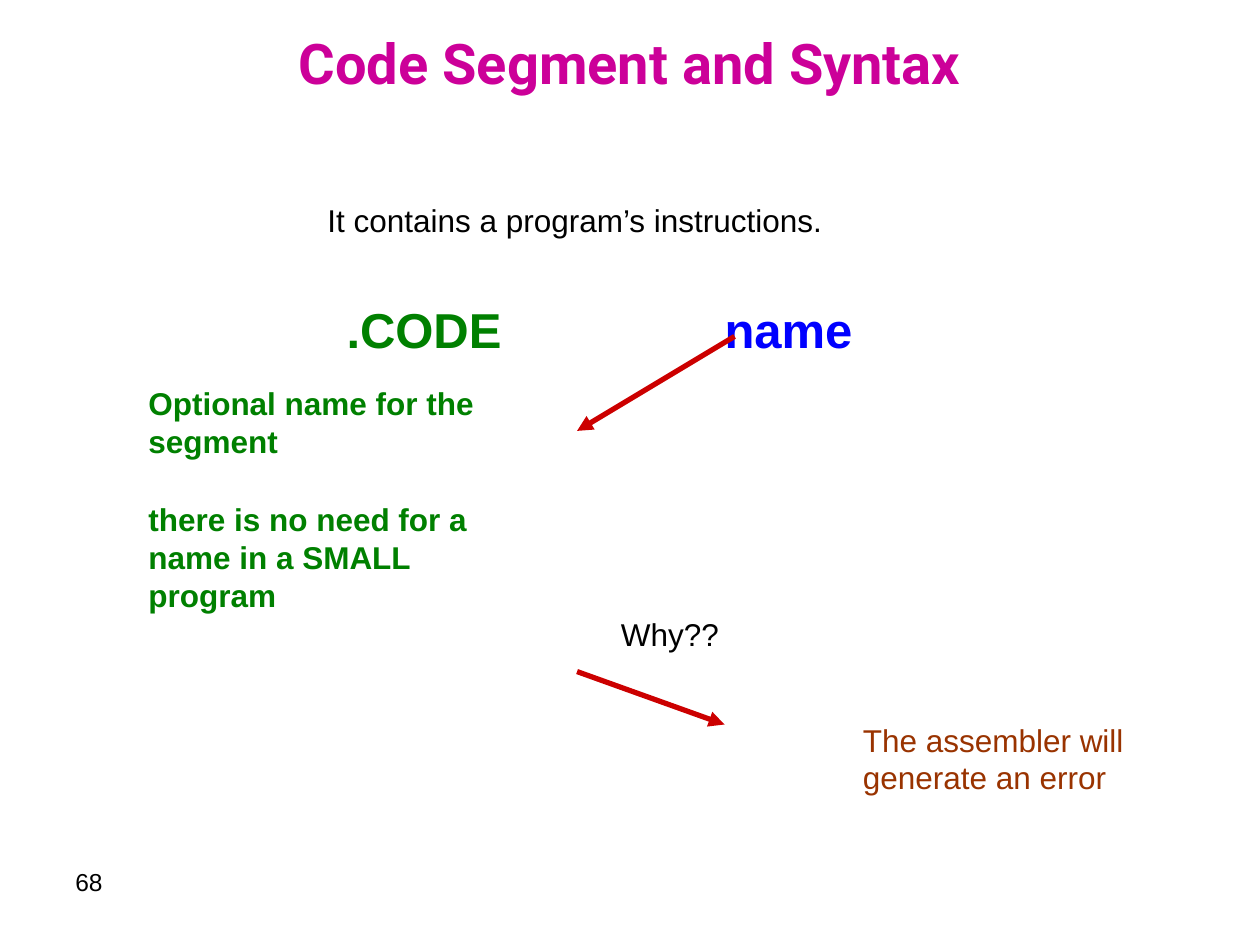
from dataclasses import dataclass

import pptx
import pptx.dml.color
import pptx.enum.shapes
import pptx.enum.text
import pptx.oxml.ns
import pptx.util
from lxml import etree

PX = 9144
HUES = {
    "pink": "CC0099",
    "blue": "0000FF",
    "green": "008000",
    "red": "CC0000",
    "brown": "993300",
    "black": "000000",
}
NONE = pptx.enum.text.MSO_AUTO_SIZE.NONE
ALIGN = pptx.enum.text.PP_ALIGN


@dataclass
class Note:
    text: str
    box: tuple[int, int, int, int]
    hue: str = "black"
    bold: bool = False
    size: int = 18


@dataclass
class Arrow:
    start: tuple[int, int]
    end: tuple[int, int]


NOTES = [
    Note("68", (50, 683, 233, 52), size=14),
    Note("Optional name for the segment", (108, 300, 333, 70), "green", True),
    Note("Why??", (483, 483, 117, 40)),
    Note("there is no need for a name in a SMALL program",
         (108, 392, 300, 100), "green", True),
    Note("The assembler will generate an error", (675, 567, 267, 70), "brown"),
    Note("It contains a program’s instructions.", (250, 155, 500, 40)),
]
ARROWS = [Arrow((583, 267), (458, 342)), Arrow((458, 533), (575, 575))]


def color(hue: str) -> pptx.dml.color.RGBColor:
    return pptx.dml.color.RGBColor.from_string(HUES[hue])


def scale(*nums: int) -> list[int]:
    return [num * PX for num in nums]


def write(frame, text: str, *, size: int = 18, hue: str = "black",
          bold: bool = False, face: str = "Arial", align=ALIGN.LEFT) -> None:
    para = frame.paragraphs[0]
    para.alignment = align
    para.space_before = pptx.util.Pt(0)
    run = para.add_run()
    run.text = text
    run.font.size = pptx.util.Pt(size)
    run.font.bold = bold
    run.font.name = face
    run.font.color.rgb = color(hue)


def place(shape, box: tuple[int, int, int, int], pad: tuple[int, int]):
    shape.left, shape.top, shape.width, shape.height = scale(*box)
    frame = shape.text_frame
    frame.word_wrap = True
    frame.auto_size = NONE
    side, top = scale(*pad)
    frame.margin_left = frame.margin_right = side
    frame.margin_top = frame.margin_bottom = top
    return frame


def indent(para, left: int) -> None:
    props = para._p.get_or_add_pPr()
    props.set("marL", str(left * PX))
    props.set("indent", "0")
    etree.SubElement(props, pptx.oxml.ns.qn("a:buNone"))


def draw_note(slide, note: Note) -> None:
    shape = slide.shapes.add_textbox(*scale(*note.box))
    frame = place(shape, note.box, (10, 5))
    write(frame, note.text, size=note.size, hue=note.hue, bold=note.bold)


def draw_arrow(slide, arrow: Arrow) -> None:
    kind = pptx.enum.shapes.MSO_CONNECTOR.STRAIGHT
    link = slide.shapes.add_connector(kind, *scale(*arrow.start, *arrow.end))
    link.line.color.rgb = color("red")
    link.line.width = pptx.util.Pt(3)
    name = pptx.oxml.ns.qn
    etree.SubElement(link.line._get_or_add_ln(), name("a:tailEnd"), type="triangle")
    etree.SubElement(link._element.spPr, name("a:effectLst"))


def main() -> None:
    deck = pptx.Presentation()
    deck.slide_width, deck.slide_height = scale(1000, 750)
    slide = deck.slides.add_slide(deck.slide_layouts[1])

    title = place(slide.shapes.title, (50, 26, 900, 47), (0, 0))
    title.vertical_anchor = pptx.enum.text.MSO_ANCHOR.MIDDLE
    write(title, "Code Segment and Syntax", size=32, hue="pink", bold=True,
          face="Roboto", align=ALIGN.CENTER)

    body = place(slide.placeholders[1], (27, 233, 953, 416), (0, 5))
    indent(body.paragraphs[0], 248)
    write(body, ".CODE\t\t\t\t", size=28, hue="green", bold=True)
    write(body, "name", size=28, hue="blue", bold=True)

    for arrow in ARROWS:
        draw_arrow(slide, arrow)
    for note in NOTES:
        draw_note(slide, note)
    deck.save("out.pptx")


if __name__ == "__main__":
    main()
